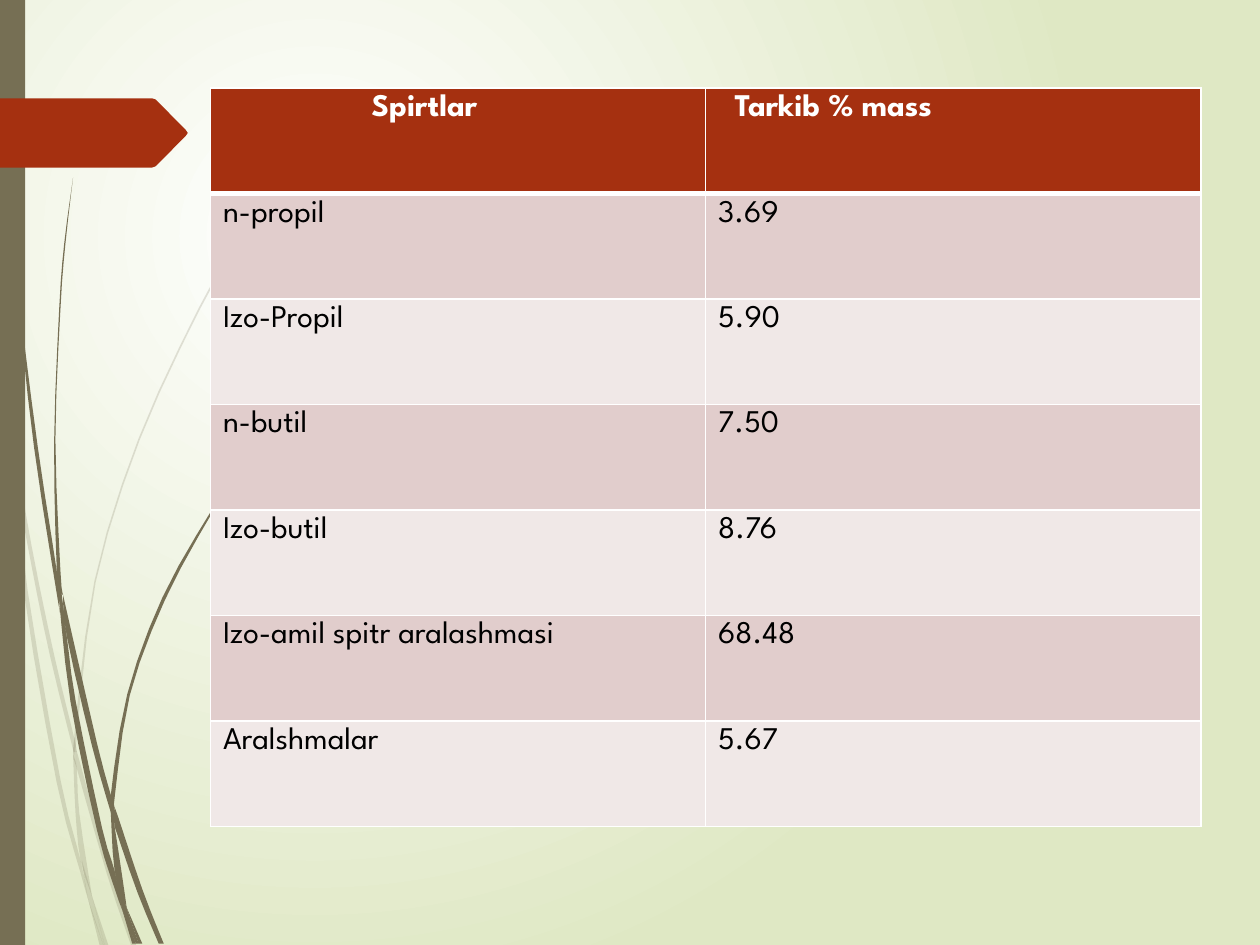
from lxml.etree import SubElement
from pptx import Presentation
from pptx.dml.color import RGBColor
from pptx.enum.shapes import MSO_SHAPE
from pptx.oxml.ns import qn
from pptx.util import Inches, Pt

WIDTH, HEIGHT = 10, 7.5
FONT = "League Spartan"
OLIVE, RUST, WHITE, BLACK = "766F54", "A53010", "FFFFFF", "000000"
BANDS = ("E1CDCC", "F0E8E7")

# Each blade of grass: its two edges, from the tip down, in inches
PALE_BLADES = [
    ([(.1, 3.45), (.25, 4.33), (.43, 5.2), (.59, 5.86)],
     [(.1, 3.45), (.12, 3.76), (.25, 4.49), (.4, 5.22), (.59, 5.99)]),
    ([(.61, 5.96), (.64, 6.07), (.88, 6.92), (1.08, 7.5)],
     [(.61, 6.1), (.85, 6.94), (1.04, 7.5)]),
    ([(.73, 7.11), (.86, 7.5)], [(.73, 7.11), (.83, 7.5)]),
    ([(.08, 3.5), (.12, 3.76), (.22, 4.69), (.48, 6.19), (.64, 6.83), (.7, 7.14)],
     [(.08, 3.5), (.19, 4.7), (.45, 6.21), (.64, 6.93), (.7, 7.14)]),
    ([(.58, 5.99), (.6, 6.46), (.64, 6.83), (.73, 7.11)],
     [(.58, 5.99), (.61, 6.1), (.63, 6.46), (.73, 7.11)]),
    ([(2.17, 1.53), (1.86, 1.97), (1.58, 2.44), (1.1, 3.48), (.75, 4.61), (.59, 5.84), (.61, 5.96)],
     [(2.17, 1.54), (1.87, 1.98), (1.59, 2.45), (1.11, 3.49), (.76, 4.62), (.61, 5.84), (.61, 5.96)]),
    ([(.7, 7.14), (.79, 7.5)], [(.7, 7.14), (.82, 7.5)]),
    ([(.59, 5.86), (.58, 5.99), (.61, 6.1)], [(.59, 5.86), (.61, 5.96), (.61, 6.1)]),
    ([(.65, 6.83), (.7, 7.14), (.82, 7.5)], [(.65, 6.83), (.73, 7.11), (.83, 7.5)]),
]
DARK_BLADES = [
    ([(.02, 0), (.05, 1.1), (.14, 2.33), (.27, 3.55), (.46, 4.77), (.47, 4.81)],
     [(.03, 0), (.06, 1.09), (.15, 2.32), (.3, 3.55), (.45, 4.53), (.47, 4.81)]),
    ([(.5, 4.72), (.77, 5.9), (.88, 6.31)], [(.5, 4.72), (.53, 5.05), (.73, 5.92), (.88, 6.45)]),
    ([(.91, 6.41), (.94, 6.49), (1.13, 7.06), (1.3, 7.49)],
     [(.91, 6.56), (1.09, 7.08), (1.26, 7.49)]),
    ([(.47, 4.77), (.53, 5.05), (.6, 5.56), (.81, 6.57), (.91, 6.91), (.97, 7.22)],
     [(.47, 4.77), (.56, 5.57), (.77, 6.59), (.92, 7.08), (.97, 7.22)]),
    ([(.58, 1.41), (.51, 1.93), (.47, 2.45), (.43, 3.49), (.45, 4.49), (.49, 4.72)],
     [(.58, 1.41), (.52, 1.93), (.48, 2.45), (.44, 3.49), (.48, 4.53), (.5, 4.72)]),
    ([(1, 7.19), (1.13, 7.49)], [(1, 7.19), (1.1, 7.49)]),
    ([(.45, 4.49), (.49, 4.72), (.53, 5.05)], [(.45, 4.53), (.47, 4.77), (.53, 5.05)]),
    ([(2.15, 3.44), (1.91, 3.73), (1.68, 4.05), (1.29, 4.74), (1.01, 5.51), (.88, 6.31), (.91, 6.41)],
     [(2.16, 3.44), (1.91, 3.74), (1.69, 4.06), (1.31, 4.76), (1.03, 5.52), (.91, 6.33), (.91, 6.41)]),
    ([(.97, 7.22), (1.08, 7.49)], [(.97, 7.22), (1.05, 7.49)]),
    ([(.88, 6.45), (.91, 6.91), (1, 7.19)], [(.88, 6.45), (.91, 6.56), (1, 7.16), (1, 7.19)]),
    ([(.88, 6.31), (.88, 6.45), (.91, 6.56)], [(.88, 6.31), (.91, 6.41), (.91, 6.56)]),
    ([(.91, 6.91), (.97, 7.22), (1.08, 7.49)], [(.91, 6.91), (1, 7.19), (1.1, 7.49)]),
]
TAG_OUTLINE = [(0, 0), (.81, 0), (.83, .02), (.99, .46), (1, .5),
               (.99, .54), (.83, .98), (.81, 1), (0, 1)]
ALCOHOLS = [("Spirtlar", "Tarkib % mass"), ("n-propil", "3.69"), ("Izo-Propil", "5.90"),
            ("n-butil", "7.50"), ("Izo-butil", "8.76"),
            ("Izo-amil spitr aralashmasi", "68.48"), ("Aralshmalar", "5.67")]
HEADER_MARGINS = (1.28, .23)


def rgb(color):
    return RGBColor.from_string(color)


def paint(shape, color, alpha=None):
    shape.shadow.inherit = False
    shape.fill.solid()
    shape.fill.fore_color.rgb = rgb(color)
    shape.line.fill.background()
    if alpha:
        tint = shape._element.spPr.find(qn("a:solidFill"))[0]
        SubElement(tint, qn("a:alpha"), val=str(alpha * 1000))


def smooth(knots, steps=3):
    """Points of a Catmull-Rom curve through the knots."""
    if len(knots) == 2:
        return knots
    ends = [knots[0], *knots, knots[-1]]
    curve = [knots[0]]
    for a, b, c, d in zip(ends, ends[1:], ends[2:], ends[3:]):
        for step in range(1, steps + 1):
            t = step / steps
            curve.append(tuple(
                (2 * q + (r - p) * t + (2 * p - 5 * q + 4 * r - s) * t ** 2
                 + (3 * q - p - 3 * r + s) * t ** 3) / 2
                for p, q, r, s in zip(a, b, c, d)))
    return curve


def add_outline(slide, points, color, alpha=None):
    corners = dict.fromkeys((Inches(x), Inches(y)) for x, y in points)
    start, *rest = corners
    builder = slide.shapes.build_freeform(*start)
    builder.add_line_segments(rest, close=True)
    paint(builder.convert_to_shape(), color, alpha)


def add_background(slide):
    fill = slide.background.fill
    fill.gradient()
    for stop, color in zip(fill.gradient_stops, (WHITE, "DFE8C4")):
        stop.color.rgb = rgb(color)
    gradient = slide.element.find(".//" + qn("a:gradFill"))
    gradient.remove(gradient.find(qn("a:lin")))
    circle = SubElement(gradient, qn("a:path"), path="circle")
    SubElement(circle, qn("a:fillToRect"), l="50000", t="50000", r="100000", b="100000")


def add_grass(slide, blades, alpha=None):
    for near_edge, far_edge in blades:
        add_outline(slide, smooth(near_edge) + smooth(far_edge)[::-1], OLIVE, alpha)


def add_side_bar(slide, left, top, width, height):
    bar = slide.shapes.add_shape(MSO_SHAPE.RECTANGLE, *map(Inches, (left, top, width, height)))
    paint(bar, OLIVE)


def add_tag(slide, left, top, width, height):
    add_outline(slide, [(left + x * width, top + y * height) for x, y in TAG_OUTLINE], RUST)


def set_borders(cell, **widths):
    properties = cell._tc.get_or_add_tcPr()
    for index, side in enumerate("LRTB"):
        line = properties.makeelement(qn(f"a:ln{side}"), {"w": str(Pt(widths.get(side, 1)))})
        color = SubElement(SubElement(line, qn("a:solidFill")), qn("a:srgbClr"))
        color.set("val", WHITE)
        properties.insert(index, line)


def add_alcohol_table(slide, left, top, width, height):
    table = slide.shapes.add_table(len(ALCOHOLS), 2,
                                   *map(Inches, (left, top, width, height))).table
    for row, entries in enumerate(ALCOHOLS):
        header = row == 0
        for column, entry in enumerate(entries):
            cell = table.cell(row, column)
            cell.fill.solid()
            cell.fill.fore_color.rgb = rgb(RUST if header else BANDS[(row - 1) % 2])
            cell.margin_left = Inches(HEADER_MARGINS[column] if header else .1)
            set_borders(cell, B=3 if header else 1, T=3 if row == 1 else 1)
            run = cell.text_frame.paragraphs[0].add_run()
            run.text = entry
            run.font.name, run.font.size, run.font.bold = FONT, Pt(18), header
            run.font.color.rgb = rgb(WHITE if header else BLACK)


def main():
    deck = Presentation()
    deck.slide_width, deck.slide_height = Inches(WIDTH), Inches(HEIGHT)
    slide = deck.slides.add_slide(deck.slide_layouts[6])
    add_background(slide)
    add_grass(slide, PALE_BLADES, alpha=20)
    add_grass(slide, DARK_BLADES)
    add_side_bar(slide, 0, 0, .02 * WIDTH, HEIGHT)
    add_tag(slide, 0, .78, 1.49, .55)
    add_alcohol_table(slide, 1.67, .7, 7.86, 5.86)
    deck.save("out.pptx")


main()
